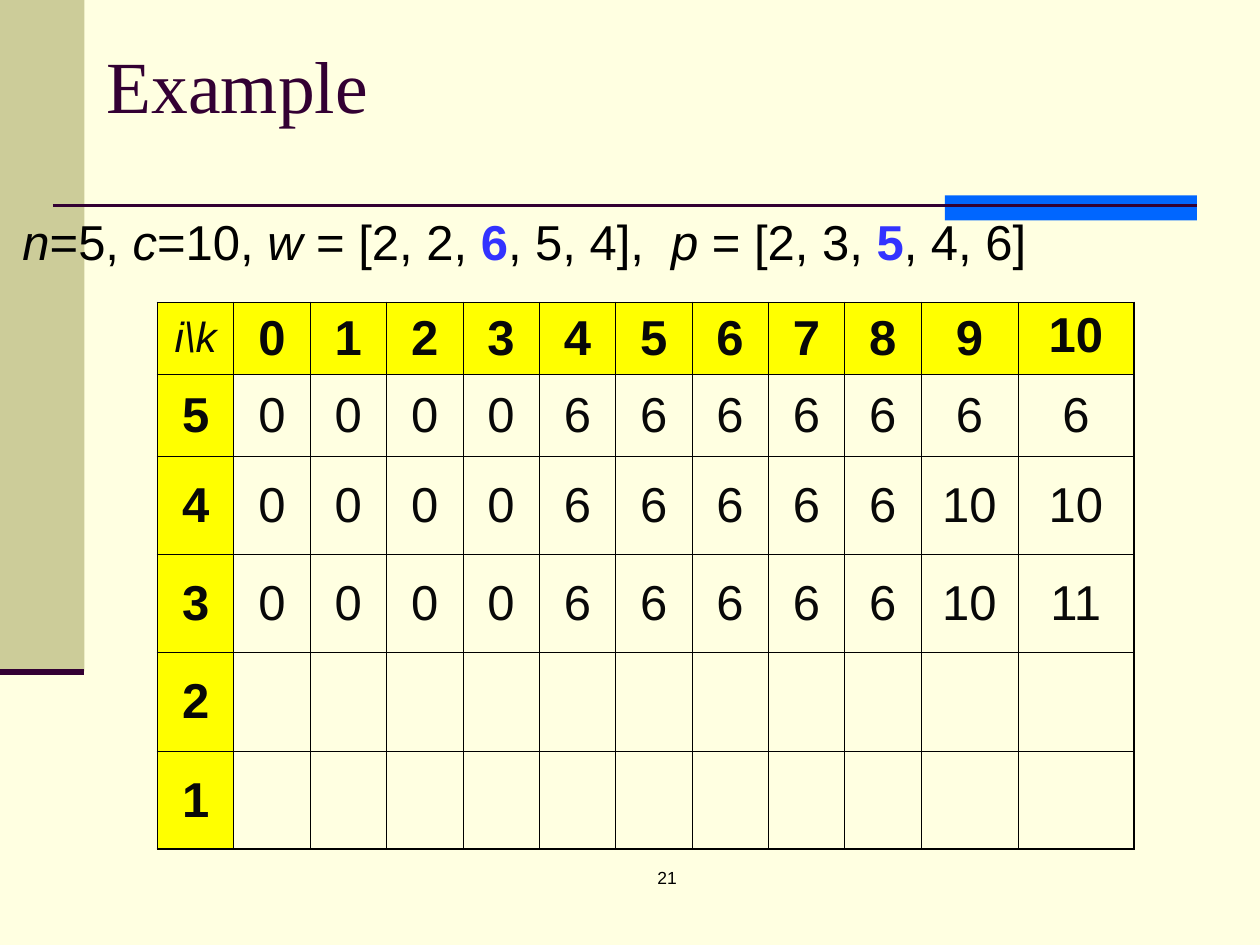
from lxml.etree import SubElement
from pptx import Presentation
from pptx.dml.color import RGBColor
from pptx.enum.shapes import MSO_CONNECTOR, MSO_SHAPE
from pptx.enum.text import MSO_ANCHOR, PP_ALIGN
from pptx.oxml.ns import qn
from pptx.util import Inches, Pt


def color(value):
    return RGBColor.from_string(value)


def add_run(paragraph, text, **format_values):
    font_color = format_values.pop("color", "000000")
    run = paragraph.add_run()
    run.text = text
    values = {"name": "Arial", "size": Pt(28), "bold": False, "italic": False} | format_values
    for name, value in values.items():
        setattr(run.font, name, value)
    run.font.color.rgb = color(font_color)


presentation = Presentation()
presentation.slide_width = Inches(10)
presentation.slide_height = Inches(7.5)
slide = presentation.slides.add_slide(presentation.slide_layouts[6])
slide.background.fill.solid()
slide.background.fill.fore_color.rgb = color("FFFFE1")

for left, top, width, height, fill in [
    (0, 0, 0.67, 5.33, "CCCC99"),
    (7.5, 1.55, 2, 0.2, "0066FF"),
]:
    shape = slide.shapes.add_shape(
        MSO_SHAPE.RECTANGLE, Inches(left), Inches(top), Inches(width), Inches(height)
    )
    shape.shadow.inherit = False
    shape.fill.solid()
    shape.fill.fore_color.rgb = color(fill)
    shape.line.fill.background()

for left, right, top, weight in [(0.42, 9.5, 1.63, 1.5), (0, 0.67, 5.33, 3.5)]:
    connector = slide.shapes.add_connector(
        MSO_CONNECTOR.STRAIGHT, Inches(left), Inches(top), Inches(right), Inches(top)
    )
    connector.line.color.rgb = color("330033")
    connector.line.width = Pt(weight)
    SubElement(connector._element.spPr, qn("a:effectLst"))

italic = {"italic": True}
highlight = {"bold": True, "color": "3333FF"}
title_runs = [("Example", {"name": "Times New Roman", "size": Pt(42), "color": "330033"})]
problem_runs = [
    ("n", italic), ("=5, ", {}), ("c", italic), ("=10, ", {}),
    ("w", italic), (" = [2, 2, ", {}), ("6", highlight), (", 5, 4],  ", {}),
    ("p", italic), (" = [2, 3, ", {}), ("5", highlight), (", 4, 6]", {}),
]
number_runs = [("21", {"size": Pt(10)})]

for left, top, width, height, margin_top, anchor, alignment, runs in [
    (3.67, 6.83, 3.25, 0.5, 0.05, MSO_ANCHOR.TOP, PP_ALIGN.CENTER, number_runs),
    (0.75, 0.21, 8.5, 0.83, 0.13, MSO_ANCHOR.MIDDLE, PP_ALIGN.LEFT, title_runs),
    (0.08, 1.58, 9.42, 0.92, 0.1, MSO_ANCHOR.TOP, PP_ALIGN.LEFT, problem_runs),
]:
    text_box = slide.shapes.add_textbox(Inches(left), Inches(top), Inches(width), Inches(height))
    text_frame = text_box.text_frame
    text_frame.word_wrap = True
    text_frame.margin_top = Inches(margin_top)
    text_frame.vertical_anchor = anchor
    paragraph = text_frame.paragraphs[0]
    paragraph.alignment = alignment
    for text, format_values in runs:
        add_run(paragraph, text, **format_values)

rows = [
    ["i\\k", *range(11)],
    [5, 0, 0, 0, 0, 6, 6, 6, 6, 6, 6, 6],
    [4, 0, 0, 0, 0, 6, 6, 6, 6, 6, 10, 10],
    [3, 0, 0, 0, 0, 6, 6, 6, 6, 6, 10, 11],
    [2] + [""] * 11,
    [1] + [""] * 11,
]
row_heights = [0.57, 0.65] + [0.78] * 4
column_widths = [(7.75 - 0.77 - 0.92) / 10] * 10 + [0.77, 0.92]
last_row = len(row_heights) - 1
last_column = len(column_widths) - 1

table = slide.shapes.add_table(
    len(row_heights), len(column_widths), Inches(1.25), Inches(2.4), Inches(7.75), Inches(4.33)
).table
table.first_row = False
table.horz_banding = False
for row, height in zip(table.rows, row_heights):
    row.height = Inches(height)
for column, width in zip(table.columns, column_widths):
    column.width = Inches(width)

for row_index, values in enumerate(rows):
    for column_index, value in enumerate(values):
        cell = table.cell(row_index, column_index)
        is_header = row_index == 0 or column_index == 0
        is_corner = row_index == 0 and column_index == 0
        is_last_header = row_index == 0 and column_index == last_column
        cell.vertical_anchor = MSO_ANCHOR.TOP if is_last_header else MSO_ANCHOR.MIDDLE

        properties = cell._tc.get_or_add_tcPr()
        for tag, is_outer in {
            "a:lnL": column_index == 0,
            "a:lnR": column_index == last_column,
            "a:lnT": row_index == 0,
            "a:lnB": row_index == last_row,
        }.items():
            border = SubElement(properties, qn(tag), w=str(Pt(1.08 if is_outer else 0.45)))
            border_fill = SubElement(border, qn("a:solidFill"))
            SubElement(border_fill, qn("a:srgbClr"), val="000000")

        if is_header:
            cell.fill.solid()
            cell.fill.fore_color.rgb = color("FFFF00")
        else:
            cell.fill.background()

        if value != "":
            paragraph = cell.text_frame.paragraphs[0]
            paragraph.alignment = PP_ALIGN.CENTER
            add_run(
                paragraph, str(value), size=Pt(24 if is_corner else 28),
                bold=is_header and not is_corner, italic=is_corner, color="080808",
            )

presentation.save("out.pptx")
